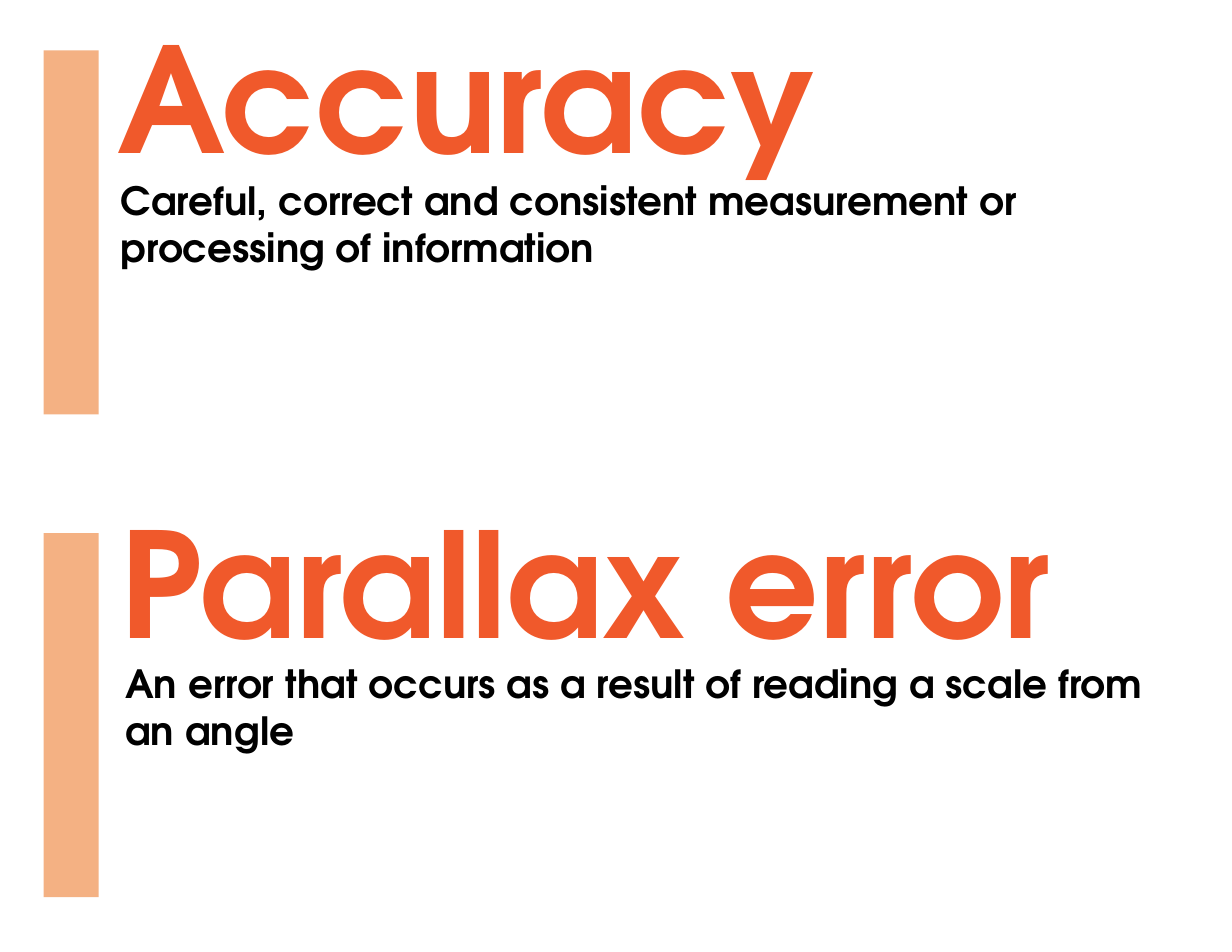
from pptx import Presentation
from pptx.dml.color import RGBColor
from pptx.enum import shapes, text
from pptx.util import Inches, Pt

HUES = {"bar": "F4B183", "term": "F0592B", "body": "000000"}
FACE = "TeX Gyre Adventor"
LOOKS = {
    "term": {"size": Pt(94), "bold": True, "name": FACE},
    "body": {"size": Pt(25), "bold": True, "name": FACE},
}
FRAME = {
    "margin_left": Inches(0.1),
    "margin_right": Inches(0.1),
    "margin_top": Inches(0.05),
    "margin_bottom": Inches(0.05),
    "word_wrap": True,
    "auto_size": text.MSO_AUTO_SIZE.NONE,
}
ENTRIES = [
    ("Accuracy",
     "Careful, correct and consistent measurement or processing of information",
     (0.56, -0.45), 0.59),
    ("Parallax error",
     "An error that occurs as a result of reading a scale from an angle",
     (0.59, -0.43), 0.63),
]
LEFT, TOP, PITCH = 0.39, 0.45, 4.31


def add_text(slide, box, words, kind, anchor):
    frame = slide.shapes.add_textbox(*map(Inches, box)).text_frame
    for key, value in FRAME.items():
        setattr(frame, key, value)
    frame.vertical_anchor = anchor
    part = frame.paragraphs[0]
    part.alignment = text.PP_ALIGN.LEFT
    run = part.add_run()
    run.text = words
    for key, value in LOOKS[kind].items():
        setattr(run.font, key, value)
    run.font.color.rgb = RGBColor.from_string(HUES[kind])


def add_bar(slide, box):
    bar = slide.shapes.add_shape(shapes.MSO_SHAPE.RECTANGLE, *map(Inches, box))
    bar.shadow.inherit = False
    bar.fill.solid()
    bar.fill.fore_color.rgb = RGBColor.from_string(HUES["bar"])
    bar.line.fill.background()


def add_entry(slide, left, top, term, body, shift, inset):
    add_text(slide, (left + inset, top + 1.08, 9.45, 2.18), body, "body",
             text.MSO_ANCHOR.TOP)
    add_text(slide, (left + shift[0], top + shift[1], 9.59, 1.7), term, "term",
             text.MSO_ANCHOR.MIDDLE)
    add_bar(slide, (left, top, 0.49, 3.25))


def main():
    deck = Presentation()
    deck.slide_width, deck.slide_height = Inches(11), Inches(8.5)
    slide = deck.slides.add_slide(deck.slide_layouts[6])
    for row, entry in enumerate(ENTRIES):
        add_entry(slide, LEFT, TOP + row * PITCH, *entry)
    deck.save("out.pptx")


if __name__ == "__main__":
    main()
